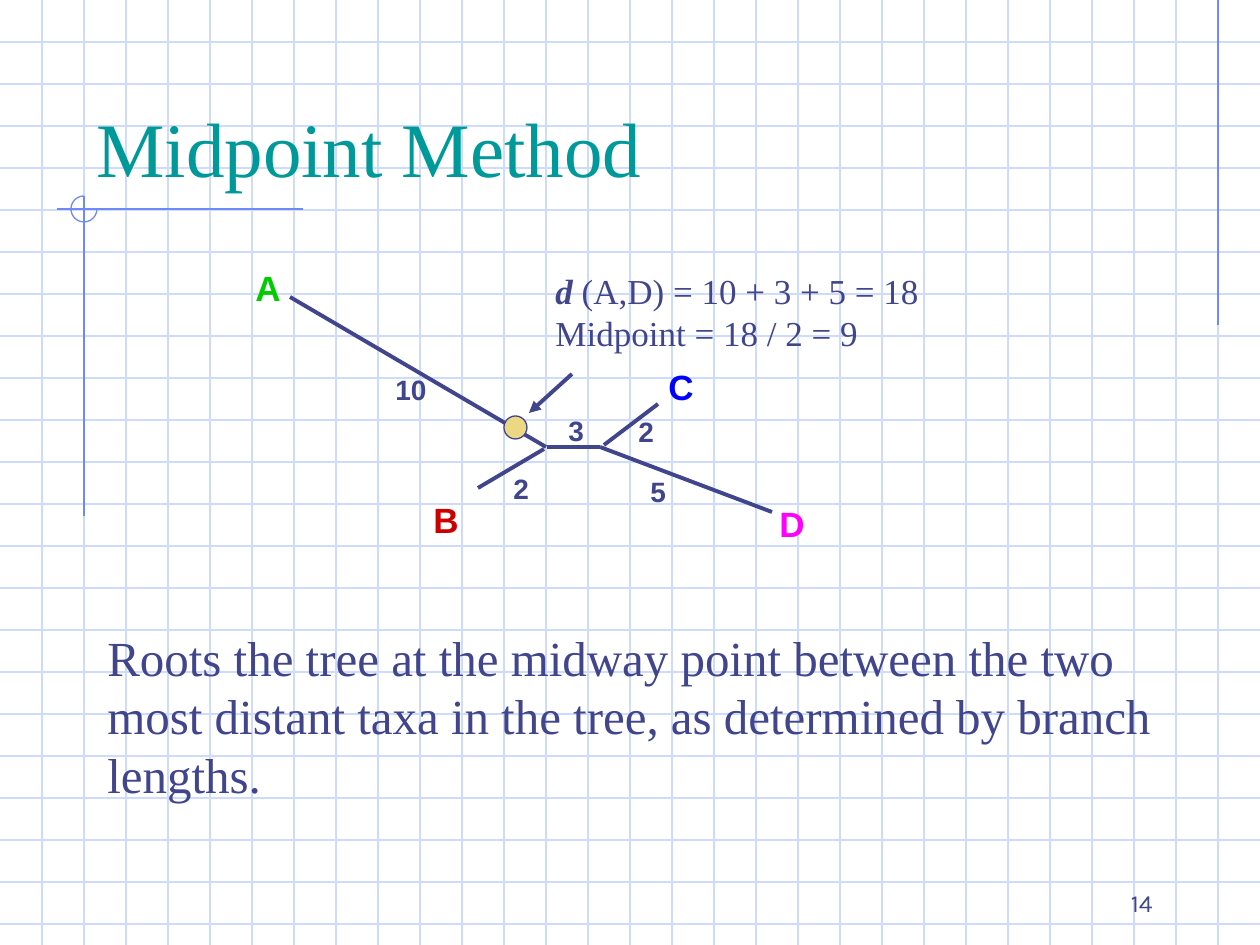
from lxml import etree
from pptx import Presentation
from pptx import util as u
from pptx.dml.color import RGBColor
from pptx.enum import shapes, text
from pptx.oxml.ns import qn

WIDTH, HEIGHT, GRID = 1260, 945, 42
EMU_PER_PX = 914400 / 126
INK, GRID_BLUE, RULE_BLUE = "40458C", "CFDBFD", "6F89F7"
SERIF, SANS = "Times New Roman", "Arial"


def px(length):
    """Turn a length in px into EMU."""
    return u.Emu(round(length * EMU_PER_PX))


def color(value):
    """Turn a hex string into a colour."""
    return RGBColor.from_string(value)


def add_line(slide, start, end, line_color, weight=0.75, arrow=False):
    """Draw a straight line between two points, with an optional arrowhead at the end."""
    line = slide.shapes.add_connector(
        shapes.MSO_CONNECTOR.STRAIGHT, *(px(value) for value in (*start, *end)))
    line.line.color.rgb = color(line_color)
    line.line.width = u.Pt(weight)
    if arrow:
        outline = line.line._get_or_add_ln()
        etree.SubElement(outline, qn("a:tailEnd"), type="triangle")
    etree.SubElement(line._element.spPr, qn("a:effectLst"))
    return line


def add_round(slide, kind, box, line_color, fill=None):
    """Draw a round preset shape with a thin outline."""
    shape = slide.shapes.add_shape(kind, *map(px, box))
    shape.shadow.inherit = False
    if fill:
        shape.fill.solid()
        shape.fill.fore_color.rgb = color(fill)
    else:
        shape.fill.background()
    shape.line.color.rgb = color(line_color)
    shape.line.width = u.Pt(0.75)
    return shape


def add_text(slide, box, content, size, font=SERIF, text_color=INK, bold=False,
             bottom=False, align=text.PP_ALIGN.LEFT, spacing=None):
    """Place a text box and format all of its runs alike."""
    frame = slide.shapes.add_textbox(*map(px, box)).text_frame
    frame.word_wrap = True
    frame.vertical_anchor = text.MSO_ANCHOR.BOTTOM if bottom else text.MSO_ANCHOR.TOP
    frame.text = content
    for paragraph in frame.paragraphs:
        paragraph.alignment = align
        if spacing:
            paragraph.line_spacing = u.Pt(spacing)
        for run in paragraph.runs:
            run.font.size = u.Pt(size)
            run.font.name = font
            run.font.bold = bold
            run.font.color.rgb = color(text_color)
    return frame


def add_grid(slide, width, height):
    """Cover the slide with evenly spaced grid lines."""
    for y in range(GRID, height, GRID):
        add_line(slide, (0, y), (width, y), GRID_BLUE)
    for x in range(GRID, width, GRID):
        add_line(slide, (x, 0), (x, height), GRID_BLUE)


def add_rules(slide, left, top):
    """Draw the crossed rules and open circle around a corner, and the rule at the right."""
    add_line(slide, (WIDTH - GRID, 0), (WIDTH - GRID, 325), RULE_BLUE)
    add_line(slide, (left + 219, top), (left - 27, top), RULE_BLUE)
    add_line(slide, (left, top - 13), (left, top + 307), RULE_BLUE)
    circle = add_round(slide, shapes.MSO_SHAPE.ARC, (left - 13, top - 13, 26, 26), RULE_BLUE)
    circle.adjustments[0] = 0
    circle.adjustments[1] = 162


def add_tree(slide, left, top):
    """Draw the unrooted tree with its taxa, branch lengths and midpoint."""
    branches = [
        ((47, 37), (303, 187)),
        ((301, 189), (235, 228)),
        ((357, 187), (529, 252)),
        ((304, 187), (357, 187)),
        ((415, 144), (361, 185)),
    ]
    taxa = [
        ("A", 0, 0, 77, "00CC00"),
        ("B", 178, 232, 72, "CC0000"),
        ("C", 413, 99, 68, "0000FF"),
        ("D", 524, 236, 50, "FF00FF"),
    ]
    distances = [
        ("10", 140, 106, 64),
        ("2", 258, 205, 54),
        ("3", 313, 147, 47),
        ("5", 395, 208, 47),
        ("2", 383, 148, 47),
    ]
    for (x1, y1), (x2, y2) in branches:
        add_line(slide, (left + x1, top + y1), (left + x2, top + y2), INK, 2.25)
    add_line(slide, (left + 329, top + 114), (left + 286, top + 153), INK, 2.25, arrow=True)
    for name, x, y, width, taxon_color in taxa:
        add_text(slide, (left + x, top + y, width, 55), name, 20, SANS, taxon_color, bold=True)
    for distance, x, y, width in distances:
        add_text(slide, (left + x, top + y, width, 47), distance, 16, SANS, bold=True)
    add_round(slide, shapes.MSO_SHAPE.OVAL, (left + 261, top + 156, 23, 23), INK, "ECD882")


def add_formula(slide, box):
    """Write the distance and midpoint calculation with an emphasised symbol."""
    frame = add_text(slide, box, "d\nMidpoint = 18 / 2 = 9", 20, spacing=24)
    paragraph = frame.paragraphs[0]
    symbol = paragraph.runs[0]
    symbol.font.bold = symbol.font.italic = True
    terms = paragraph.add_run()
    terms.text = " (A,D) = 10 + 3 + 5 = 18"
    terms.font.size = u.Pt(20)
    terms.font.name = SERIF
    terms.font.color.rgb = color(INK)


def main():
    """Build the slide and save it."""
    presentation = Presentation()
    presentation.slide_width, presentation.slide_height = px(WIDTH), px(HEIGHT)
    slide = presentation.slides.add_slide(presentation.slide_layouts[6])
    add_grid(slide, WIDTH, HEIGHT)
    add_rules(slide, 84, 209)
    add_text(slide, (84, 41, 1071, 158), "Midpoint Method", 44,
             text_color="009999", bottom=True)
    add_tree(slide, 243, 260)
    add_formula(slide, (543, 263, 400, 97))
    add_text(slide, (95, 621, 1081, 189),
             "Roots the tree at the midway point between the two most distant taxa "
             "in the tree, as determined by branch lengths.", 28, spacing=33.6)
    add_text(slide, (903, 861, 262, 63), "14", 14, "Karla", bottom=True,
             align=text.PP_ALIGN.RIGHT)
    presentation.save("out.pptx")


if __name__ == "__main__":
    main()
